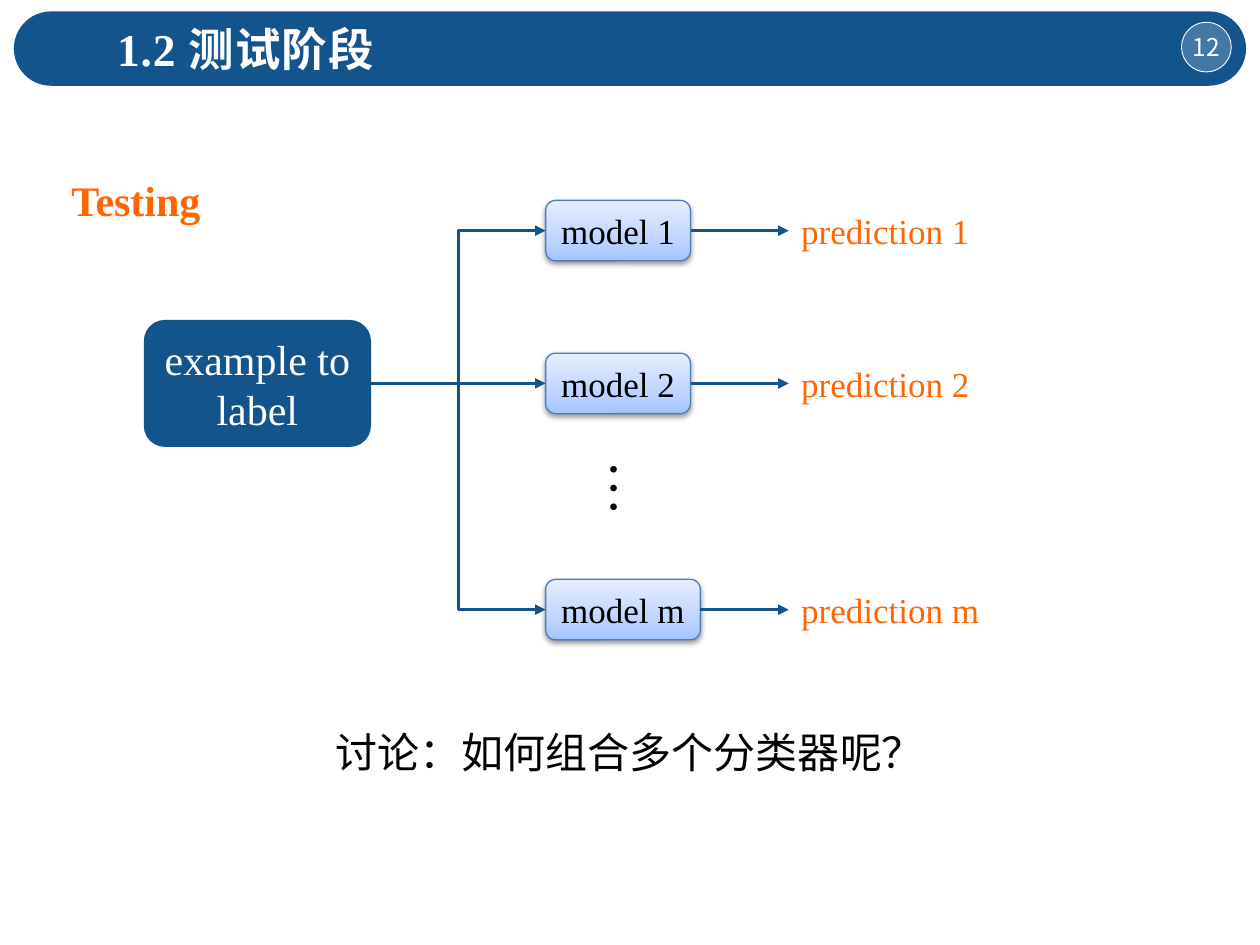
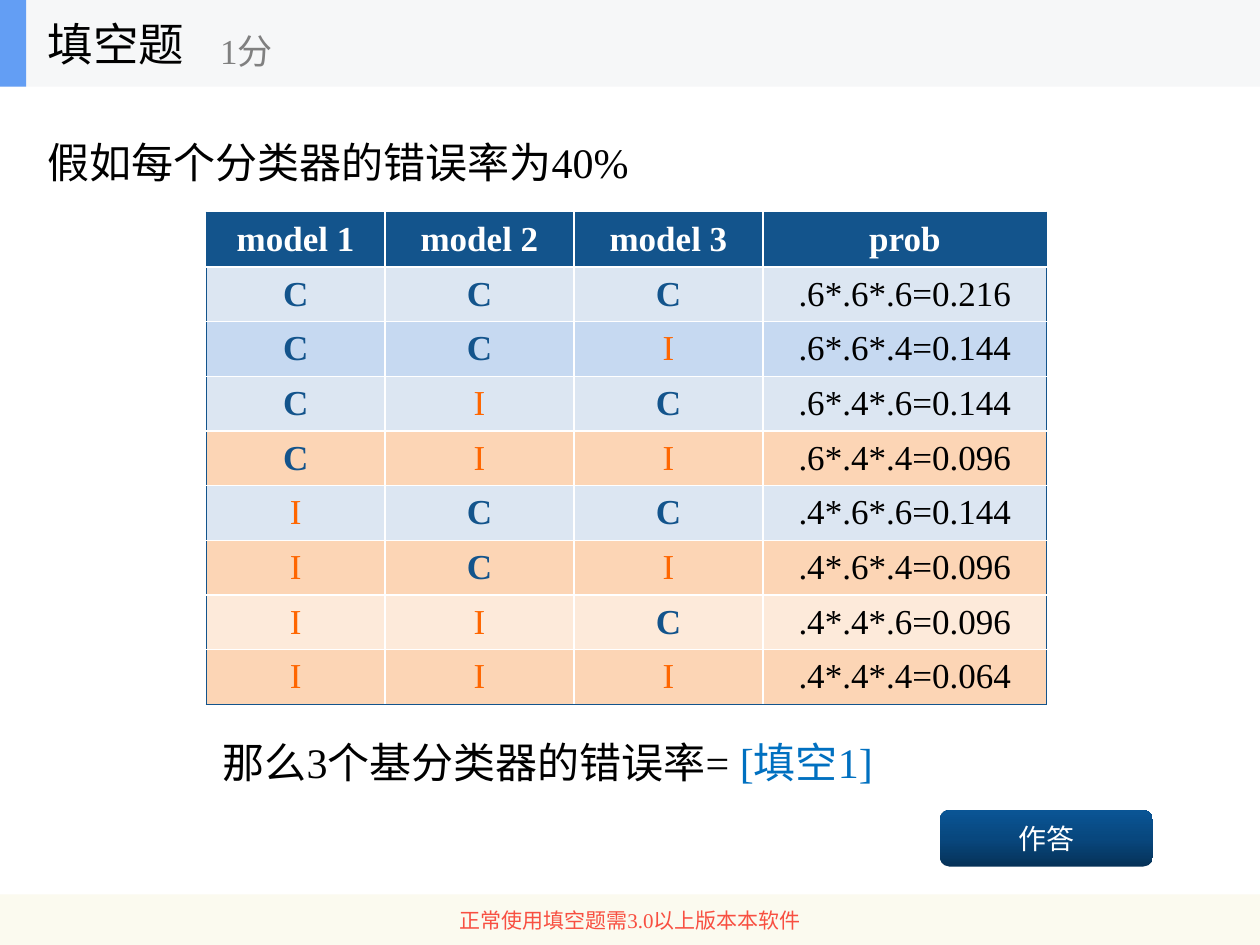
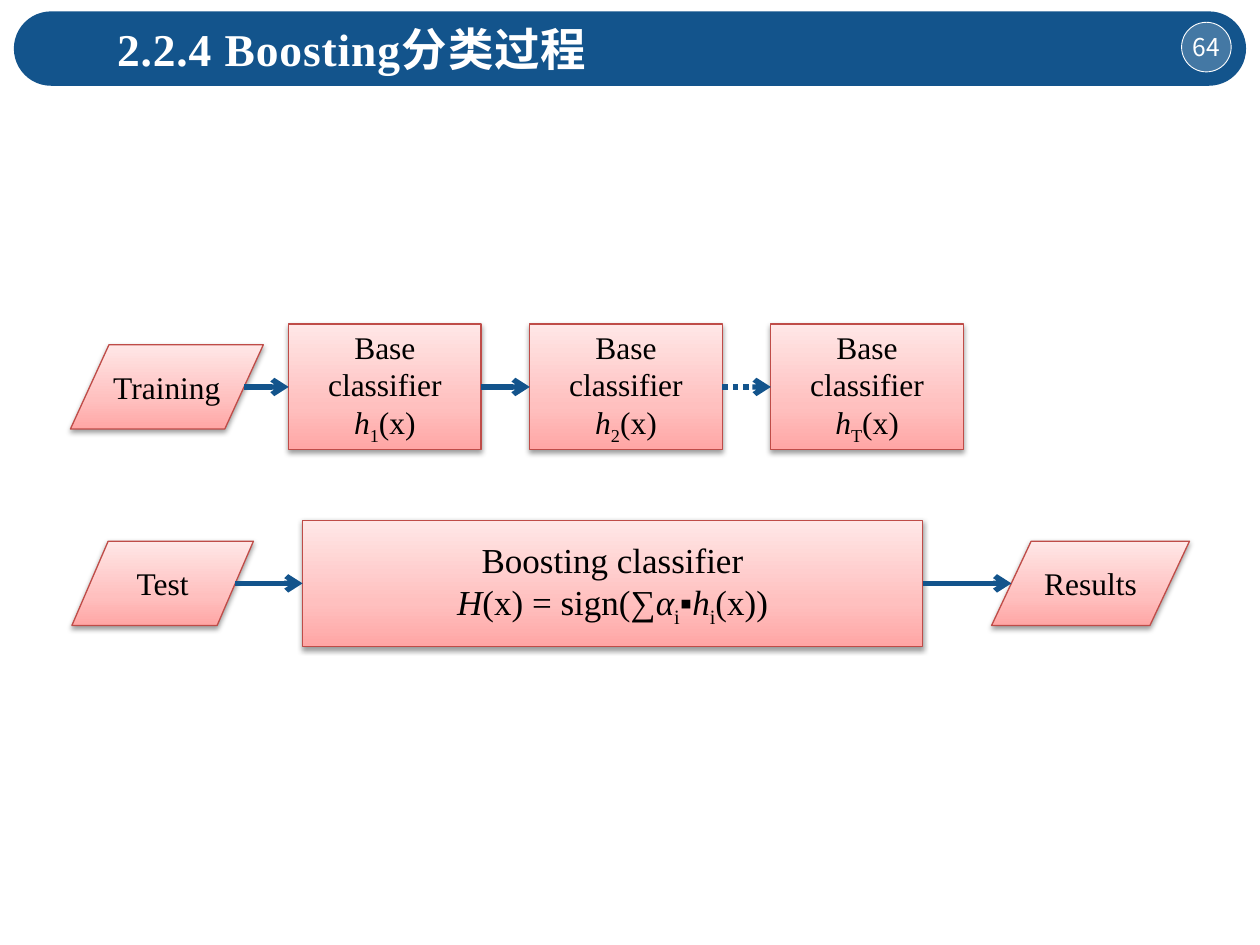
"""Build three slides on classifier ensembles: testing, a quiz and boosting."""
import copy
import itertools
import math
from dataclasses import dataclass

import lxml.etree
import pptx
import pptx.dml.color
import pptx.enum.dml
import pptx.enum.shapes
import pptx.enum.text
import pptx.oxml.ns
import pptx.util

Cm, Pt, qn = pptx.util.Cm, pptx.util.Pt, pptx.oxml.ns.qn
SHAPE = pptx.enum.shapes.MSO_SHAPE
CONNECTOR = pptx.enum.shapes.MSO_CONNECTOR
ALIGN = pptx.enum.text.PP_ALIGN
ANCHOR = pptx.enum.text.MSO_ANCHOR
DOTTED = pptx.enum.dml.MSO_LINE.ROUND_DOT


@dataclass(frozen=True)
class Theme:
    latin: str = "Times New Roman"
    cjk: str = "Noto Sans CJK SC"
    navy: str = "13548C"
    orange: str = "FF6600"
    white: str = "FFFFFF"
    black: str = "000000"
    grey: str = "808080"
    answer: str = "0070C0"
    notice: str = "F84F41"
    notice_band: str = "FBFAEF"
    quiz_band: str = "F6F7F8"
    quiz_accent: str = "639EF4"
    blue_line: str = "4B7EBC"
    red_line: str = "BF4C48"
    blue_grad: tuple = ((0, "A4C4FF"), (0.35, "BFD4FF"), (1, "E6EEFF"))
    red_grad: tuple = ((0, "FFA6A5"), (0.35, "FFC0BF"), (1, "FFE7E7"))
    button_grad: tuple = ((0, "063258"), (0.5, "08477E"), (1, "0A5595"))
    right_rows: tuple = ("C6D9F1", "DCE6F2")
    wrong_rows: tuple = ("FCD5B5", "FDEADA")
    title: int = 26
    dots: int = 32
    body: int = 24
    label: int = 20
    small: int = 18
    button: int = 16
    badge: int = 14
    note: int = 12


T = Theme()

TESTING = {
    "title": "1.2 测试阶段", "page": "12", "heading": "Testing",
    "source": "example to label", "dots": "…",
    "question": "讨论：如何组合多个分类器呢？",
    "models": [("1", 4.65, 2.92), ("2", 7.73, 2.92), ("m", 12.29, 3.12)],
}
QUIZ = {
    "title": "填空题", "points": "1分",
    "premise": "假如每个分类器的错误率为40%",
    "ask": [("那么3个基分类器的错误率= ", {}), ("[填空1]", {"color": T.answer})],
    "button": "作答", "notice": "正常使用填空题需3.0以上版本本软件",
    "header": ["model 1", "model 2", "model 3", "prob"],
    "widths": [3.6, 3.81, 3.81, 5.72],
    "chance": {"C": ".6", "I": ".4"},
}
ITALIC, SUB = {"italic": True}, {"sub": True}
BOOSTING = {
    "title": "2.2.4 Boosting分类过程", "page": "64",
    "bases": ["1", "2", "T"],
    "train": ("Training", (1.42, 6.95, 3.89, 1.7)),
    "test": ("Test", (1.45, 10.91, 3.66, 1.7)),
    "results": ("Results", (19.99, 10.91, 3.99, 1.7)),
    "final": ["Boosting classifier",
              [("H", ITALIC), ("(x) = sign(∑", {}), ("α", ITALIC), ("i", SUB),
               ("▪", {}), ("h", ITALIC), ("i", SUB), ("(x))", {})]],
}


def rgb(value):
    return pptx.dml.color.RGBColor.from_string(value)


def assign(obj, values):
    for name, value in values.items():
        setattr(obj, name, value)


def write(tf, paras, size, color, bold=False, align=ALIGN.LEFT, font=T.latin,
          spacing=None, track=0):
    for i, runs in enumerate(paras):
        p = tf.paragraphs[0] if i == 0 else tf.add_paragraph()
        assign(p, {"alignment": align, "line_spacing": spacing})
        for text, style in [(runs, {})] if isinstance(runs, str) else runs:
            r = p.add_run()
            r.text = text
            assign(r.font, {"name": font, "size": Pt(size), "bold": bold,
                            "italic": style.get("italic", False)})
            r.font.color.rgb = rgb(style.get("color", color))
            rPr = r.font._element
            lxml.etree.SubElement(rPr, qn("a:ea"), typeface=T.cjk)
            if track:
                rPr.set("spc", str(track))
            if style.get("sub"):
                rPr.set("baseline", "-25000")


def text(s, box, paras, size, color, anchor=ANCHOR.TOP, wrap=True, **style):
    sp = s.shapes.add_textbox(*map(Cm, box))
    assign(sp.text_frame, {"word_wrap": wrap, "vertical_anchor": anchor})
    write(sp.text_frame, paras, size, color, **style)
    return sp


def shape(s, kind, box, fill, line=None, width=0.75, paras=(), size=T.body,
          color=T.black, wrap=True, inset=None, glow=False, **style):
    sp = s.shapes.add_shape(kind, *map(Cm, box))
    if isinstance(fill, str):
        sp.fill.solid()
        sp.fill.fore_color.rgb = rgb(fill)
    else:
        sp.fill.gradient()
        sp.fill.gradient_angle = 90
        stops = sp._element.xpath(".//a:gsLst")[0]
        stops.append(copy.deepcopy(stops[0]))
        for stop, (position, value) in zip(sp.fill.gradient_stops, fill):
            stop.position = position
            stop.color.rgb = rgb(value)
    if line:
        sp.line.color.rgb = rgb(line)
        sp.line.width = Pt(width)
    else:
        sp.line.fill.background()
    sp.shadow.inherit = False
    if glow:
        drop = lxml.etree.SubElement(
            sp._element.spPr.find(qn("a:effectLst")), qn("a:outerShdw"),
            blurRad=str(Pt(3.1)), dist=str(Pt(1.6)), dir="5400000", rotWithShape="0")
        tint = lxml.etree.SubElement(drop, qn("a:srgbClr"), val=T.black)
        lxml.etree.SubElement(tint, qn("a:alpha"), val="38000")
    assign(sp.text_frame, {"word_wrap": wrap, "vertical_anchor": ANCHOR.MIDDLE})
    if inset is not None:
        assign(sp.text_frame, {"margin_left": Cm(inset), "margin_right": Cm(inset)})
    write(sp.text_frame, paras, size, color, **{"align": ALIGN.CENTER, **style})
    return sp


def arrow(s, start, end, width, head, kind=CONNECTOR.STRAIGHT, dash=None):
    cn = s.shapes.add_connector(kind, *map(Cm, (*start, *end)))
    cn.line.color.rgb = rgb(T.navy)
    cn.line.width = Pt(width)
    if dash:
        cn.line.dash_style = dash
    lxml.etree.SubElement(cn.line._get_or_add_ln(), qn("a:tailEnd"), type=head)
    lxml.etree.SubElement(cn._element.spPr, qn("a:effectLst"))


def new_slide(prs):
    return prs.slides.add_slide(prs.slide_layouts[6])


def titled_slide(prs, title, page):
    s = new_slide(prs)
    band = shape(s, SHAPE.ROUNDED_RECTANGLE, (0.28, 0.23, 24.84, 1.5), T.navy)
    band.adjustments[0] = 0.5
    badge = shape(s, SHAPE.OVAL, (23.82, 0.45, 1, 1), T.white, T.white, 0.5, [page],
                  T.badge, T.white, wrap=False, inset=0, font=T.cjk)
    tint = badge._element.spPr.find(qn("a:solidFill"))[0]
    lxml.etree.SubElement(tint, qn("a:alpha"), val="21000")
    text(s, (2.11, 0.3, 18.85, 1.37), [title], T.title, T.white, bold=True, track=50)
    return s


def testing_slide(prs):
    c = TESTING
    s = titled_slide(prs, c["title"], c["page"])
    text(s, (1.19, 3.4, 3.15, 1.27), [c["heading"]], T.body, T.orange,
         wrap=False, bold=True)
    left, top, width, height = source = (2.9, 6.45, 4.58, 2.56)
    shape(s, SHAPE.ROUNDED_RECTANGLE, source, T.navy, paras=[c["source"]], color=T.white)
    start = (left + width, top + height / 2)
    model_x, prediction_x, model_h, prediction_h = 11, 15.9, 1.22, 1.12
    for name, y, model_w in c["models"]:
        shape(s, SHAPE.ROUNDED_RECTANGLE, (model_x, y - model_h / 2, model_w, model_h),
              T.blue_grad, T.blue_line, paras=[f"model {name}"], size=T.label,
              wrap=False, glow=True)
        text(s, (prediction_x, y - prediction_h / 2, 4.1, prediction_h),
             [f"prediction {name}"], T.label, T.orange, ANCHOR.MIDDLE)
        arrow(s, start, (model_x, y), 2, "triangle", CONNECTOR.ELBOW)
        arrow(s, (model_x + model_w, y), (prediction_x, y), 2, "triangle")
    dots = text(s, (11.94, 9.04, 1.65, 1.63), [c["dots"]], T.dots, T.black, wrap=False)
    dots.rotation = 90
    text(s, (6.1, 14.53, 13.2, 1.27), [c["question"]], T.body, T.black,
         align=ALIGN.CENTER)


def border(cell, side, color):
    ln = lxml.etree.SubElement(cell._tc.get_or_add_tcPr(), qn(f"a:ln{side}"),
                               w=str(Pt(1)))
    fill = lxml.etree.SubElement(ln, qn("a:solidFill"))
    lxml.etree.SubElement(fill, qn("a:srgbClr"), val=color)


def probability_table(s):
    c = QUIZ
    rows = [c["header"]]
    for outcome in itertools.product("CI", repeat=3):
        factors = [c["chance"][o] for o in outcome]
        value = math.prod(map(float, factors))
        rows.append([*outcome, f"{'*'.join(factors)}={value:.3f}"])
    last_row, last_col, row_h = len(rows) - 1, len(c["widths"]) - 1, 1.1
    frame = s.shapes.add_table(len(rows), len(c["widths"]), Cm(4.16), Cm(4.28),
                               Cm(sum(c["widths"])), Cm(row_h * len(rows)))
    table = frame.table
    table.horz_banding = False
    for column, width in zip(table.columns, c["widths"]):
        column.width = Cm(width)
    styles = {"C": (T.navy, True), "I": (T.orange, False)}
    for i, row in enumerate(rows):
        table.rows[i].height = Cm(row_h)
        shades = T.right_rows if row.count("C") >= 2 else T.wrong_rows
        for j, value in enumerate(row):
            cell = table.cell(i, j)
            edges = {"L": j == 0, "R": j == last_col, "T": i == 0, "B": i == last_row}
            for side, outer in edges.items():
                border(cell, side, T.navy if outer else T.white)
            cell.fill.solid()
            cell.fill.fore_color.rgb = rgb(shades[i % 2] if i else T.navy)
            cell.vertical_anchor = ANCHOR.MIDDLE
            color, bold = styles.get(value, (T.black, False)) if i else (T.white, True)
            write(cell.text_frame, [value], T.label, color, bold, ALIGN.CENTER)


def quiz_slide(prs):
    c = QUIZ
    s = new_slide(prs)
    band_h = 1.75
    shape(s, SHAPE.RECTANGLE, (0, 0, 25.4, band_h), T.quiz_band)
    shape(s, SHAPE.RECTANGLE, (0, 0, 0.53, band_h), T.quiz_accent)
    text(s, (0.71, 0, 5.28, band_h), [c["title"]], T.title, T.black, ANCHOR.MIDDLE)
    text(s, (4.19, 0.3, 6.35, 1.42), [c["points"]], T.label, T.grey, ANCHOR.MIDDLE)
    text(s, (0.71, 2.11, 21.89, 1.63), [c["premise"]], T.body, T.black, spacing=1.5)
    probability_table(s)
    text(s, (4.24, 14.73, 14.27, 1.27), [c["ask"]], T.body, T.black, ANCHOR.MIDDLE)
    shape(s, SHAPE.ROUNDED_RECTANGLE, (18.95, 16.33, 4.29, 1.14), T.button_grad,
          paras=[c["button"]], size=T.button, color=T.white)
    shape(s, SHAPE.RECTANGLE, (0, 18.03, 25.4, 1.02), T.notice_band,
          paras=[c["notice"]], size=T.note, color=T.notice)


def boosting_slide(prs):
    c = BOOSTING
    s = titled_slide(prs, c["title"], c["page"])
    red = {"fill": T.red_grad, "line": T.red_line, "glow": True}
    base_x, base_w, box_h, pitch = 5.82, 3.88, 2.54, 4.86
    train_y, test_y, slant = 7.8, 11.76, 0.1
    for name in ("train", "test", "results"):
        label, box = c[name]
        shape(s, SHAPE.FLOWCHART_DATA, box, paras=[label], size=T.small, inset=0, **red)

    def right_edge(name):
        left, _, width, _ = c[name][1]
        return left + (1 - slant) * width

    previous = right_edge("train")
    for i, index in enumerate(c["bases"]):
        x = base_x + i * pitch
        formula = [("h", ITALIC), (index, SUB), ("(x)", {})]
        shape(s, SHAPE.RECTANGLE, (x, train_y - box_h / 2, base_w, box_h),
              paras=["Base classifier", formula], size=T.small, **red)
        arrow(s, (previous, train_y), (x, train_y), 3, "arrow",
              dash=DOTTED if index == "T" else None)
        previous = x + base_w

    final_x, final_w = 6.1, 12.5
    shape(s, SHAPE.RECTANGLE, (final_x, test_y - box_h / 2, final_w, box_h),
          paras=c["final"], size=T.label, **red)
    arrow(s, (right_edge("test"), test_y), (final_x, test_y), 3, "arrow")
    result_x, _, result_w, _ = c["results"][1]
    arrow(s, (final_x + final_w, test_y), (result_x + slant * result_w, test_y),
          3, "arrow")


def main():
    prs = pptx.Presentation()
    assign(prs, {"slide_width": Cm(25.4), "slide_height": Cm(19.05)})
    for build in (testing_slide, quiz_slide, boosting_slide):
        build(prs)
    prs.save("out.pptx")


if __name__ == "__main__":
    main()
